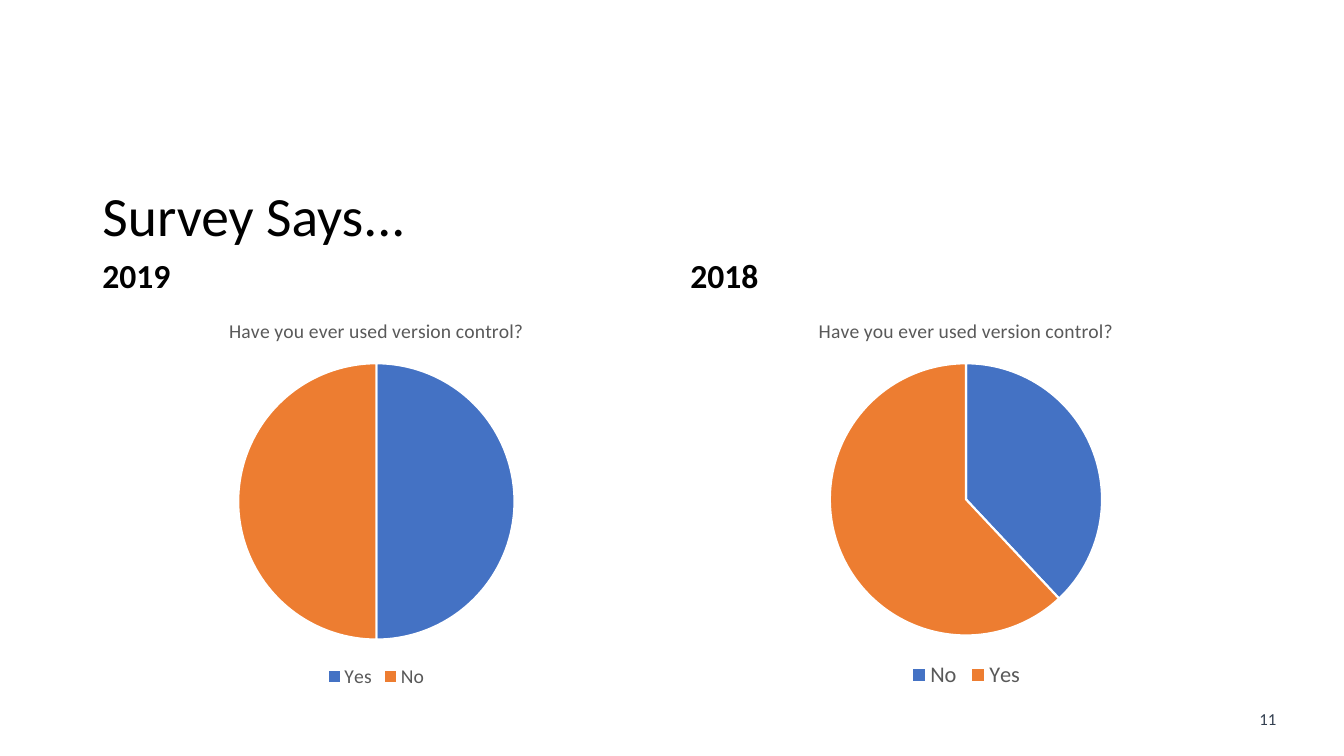
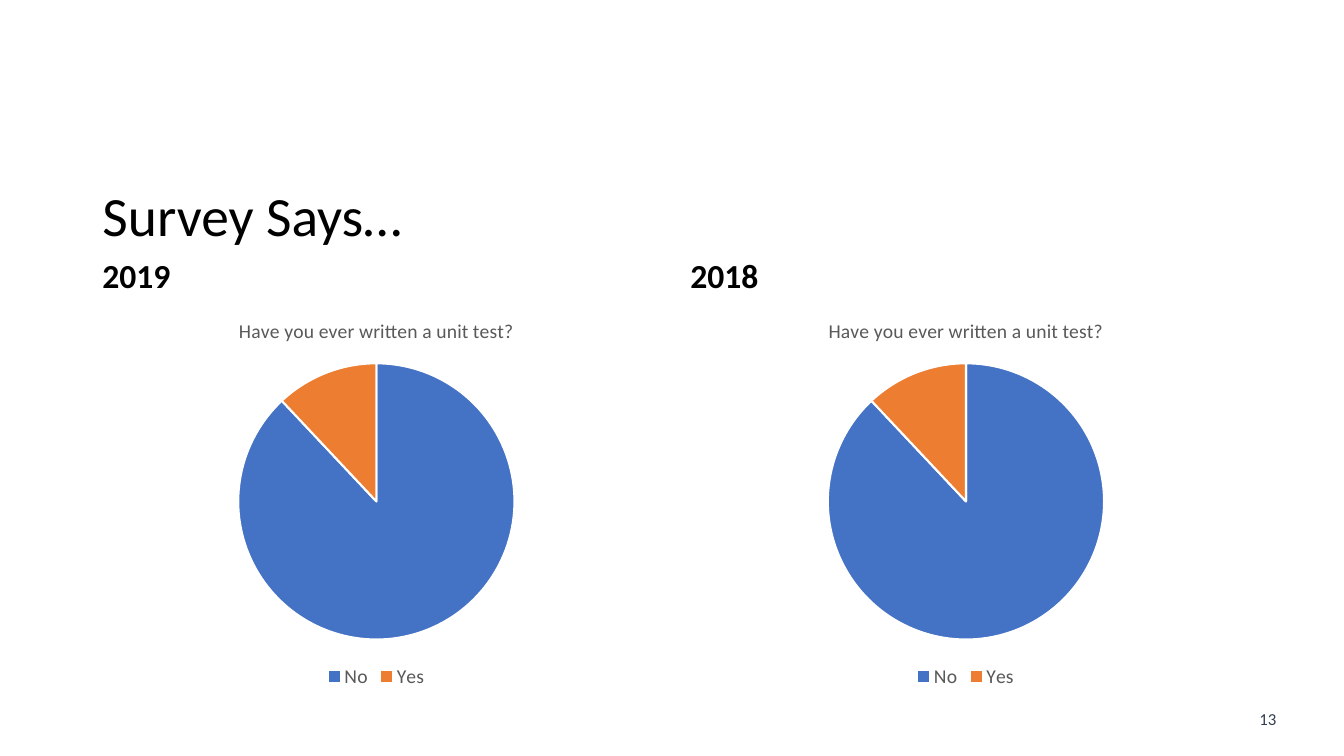
from dataclasses import dataclass

from pptx import Presentation
from pptx.chart.data import CategoryChartData
from pptx.dml.color import RGBColor
from pptx.enum.chart import XL_CHART_TYPE, XL_LEGEND_POSITION
from pptx.enum.text import MSO_ANCHOR, MSO_AUTO_SIZE, PP_ALIGN
from pptx.util import Emu, Pt

PX = 9525  # EMU per pixel, 96 pixels to the inch


@dataclass(frozen=True)
class Theme:
    font: str = "Calibri"
    ink: str = "000000"
    grey: str = "595959"
    navy: str = "333F50"
    white: str = "FFFFFF"
    slices: tuple = ("4472C4", "ED7D31")
    title_size: float = 39.6
    heading_size: int = 24
    chart_title_size: int = 14
    chart_size: int = 10
    number_size: int = 12


THEME = Theme()
TITLE_BOX = (88, 175, 1104, 67)
NUMBER_BOX = (1185, 670, 45, 29)
HEADING_TOP, HEADING_HEIGHT = 243, 43
CHART_TOP, CHART_HEIGHT = HEADING_TOP + HEADING_HEIGHT, 374

# Year, heading placeholder, left, width
COLUMNS = [("2019", 1, 88, 541), ("2018", 3, 648, 544)]

# Each pie: categories, values, legend size
SURVEYS = [
    ("11", "Survey Says...", "Have you ever used version control?",
     [(("Yes", "No"), (50, 50), 14), (("No", "Yes"), (38, 62), 16)]),
    ("13", "Survey Says…", "Have you ever written a unit test?",
     [(("No", "Yes"), (88, 12), 14), (("No", "Yes"), (88, 12), 14)]),
]


def set_font(font, size, color, bold=False):
    font.name = THEME.font
    font.size = Pt(size)
    font.bold = bold
    font.color.rgb = RGBColor.from_string(color)


def write(shape, box, text, size, color, anchor, align=PP_ALIGN.LEFT,
          bold=False, line_spacing=1.0, space_before=0):
    """Place a text shape and fill it with one formatted paragraph."""
    shape.left, shape.top, shape.width, shape.height = (Emu(n * PX) for n in box)
    frame = shape.text_frame
    frame.text = text
    frame.word_wrap = True
    frame.auto_size = MSO_AUTO_SIZE.NONE
    frame.vertical_anchor = anchor
    para = frame.paragraphs[0]
    para.alignment = align
    para.line_spacing = line_spacing
    para.space_before = Pt(space_before)
    set_font(para.runs[0].font, size, color, bold)


deck = Presentation()
deck.slide_width, deck.slide_height = Emu(1280 * PX), Emu(720 * PX)
comparison = deck.slide_layouts.get_by_name("Comparison")

for number, title, question, pies in SURVEYS:
    page = deck.slides.add_slide(comparison)
    holders = {holder.placeholder_format.idx: holder for holder in page.placeholders}
    for content_index in (2, 4):
        element = holders[content_index].element
        element.getparent().remove(element)

    write(page.shapes.title, TITLE_BOX, title, THEME.title_size, THEME.ink,
          MSO_ANCHOR.MIDDLE, line_spacing=0.9)
    write(page.shapes.add_textbox(0, 0, 0, 0), NUMBER_BOX, number,
          THEME.number_size, THEME.navy, MSO_ANCHOR.TOP, PP_ALIGN.CENTER)

    for (year, heading_index, left, width), pie in zip(COLUMNS, pies):
        write(holders[heading_index], (left, HEADING_TOP, width, HEADING_HEIGHT),
              year, THEME.heading_size, THEME.ink, MSO_ANCHOR.BOTTOM,
              bold=True, line_spacing=0.8, space_before=10)

        categories, values, legend_size = pie
        data = CategoryChartData()
        data.categories = categories
        data.add_series(question, values)
        chart = page.shapes.add_chart(
            XL_CHART_TYPE.PIE, Emu(left * PX), Emu(CHART_TOP * PX),
            Emu(width * PX), Emu(CHART_HEIGHT * PX), data).chart
        set_font(chart.font, THEME.chart_size, THEME.ink)

        chart.has_title = True
        chart.chart_title.include_in_layout = False
        chart.chart_title.text_frame.text = question
        question_run = chart.chart_title.text_frame.paragraphs[0].runs[0]
        set_font(question_run.font, THEME.chart_title_size, THEME.grey)

        chart.has_legend = True
        chart.legend.position = XL_LEGEND_POSITION.BOTTOM
        chart.legend.include_in_layout = False
        set_font(chart.legend.font, legend_size, THEME.grey)

        plot = chart.plots[0]
        plot.vary_by_categories = True
        for index, color in enumerate(THEME.slices):
            style = plot.series[0].points[index].format
            style.fill.solid()
            style.fill.fore_color.rgb = RGBColor.from_string(color)
            style.line.color.rgb = RGBColor.from_string(THEME.white)
            style.line.width = Pt(1.5)

deck.save("out.pptx")
